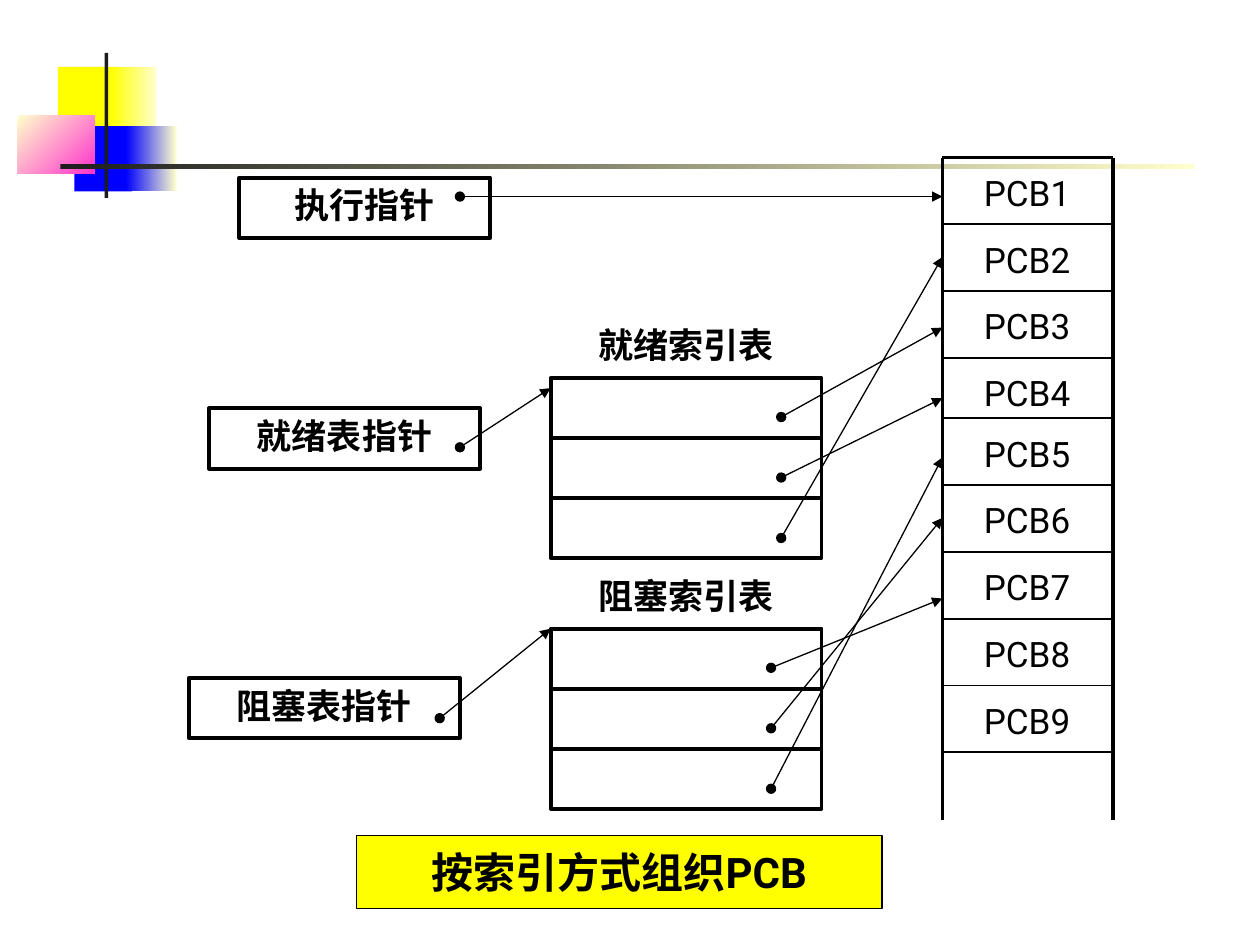
from itertools import accumulate

from pptx import Presentation
from pptx.dml.color import RGBColor
from pptx.enum.shapes import MSO_CONNECTOR, MSO_SHAPE
from pptx.enum.text import MSO_ANCHOR, PP_ALIGN
from pptx.oxml.ns import qn
from pptx.util import Inches, Pt
from lxml.etree import SubElement

BLACK = RGBColor(0x00, 0x00, 0x00)
CHARCOAL = RGBColor(0x1C, 0x1C, 0x1C)
YELLOW = RGBColor(0xFF, 0xFF, 0x00)
CREAM = RGBColor(0xFF, 0xFF, 0xCC)
BLUE = RGBColor(0x00, 0x00, 0xFF)
PINK = RGBColor(0xFF, 0x33, 0xCC)
FONT = "Roboto"
THICK, THIN, HAIR = 2.25, 1, 0.75
ROW = 0.48


def write(shape, text, size=20, bold=True, align=PP_ALIGN.CENTER,
          anchor=MSO_ANCHOR.TOP, wrap=True):
    frame = shape.text_frame
    frame.word_wrap = wrap
    frame.vertical_anchor = anchor
    para = frame.paragraphs[0]
    para.alignment = align
    span = para.add_run()
    span.text = text
    span.font.name = FONT
    span.font.size = Pt(size)
    span.font.bold = bold
    span.font.color.rgb = BLACK


def add_label(page, box, text, **style):
    write(page.shapes.add_textbox(*map(Inches, box)), text, **style)


def add_box(page, box, fill=None, fade=None, angle=0, line=None):
    """Rectangle with a solid fill, a fade between two colours, or no fill."""
    shape = page.shapes.add_shape(MSO_SHAPE.RECTANGLE, *map(Inches, box))
    shape.shadow.inherit = False
    if fade:
        shape.fill.gradient()
        shape.fill.gradient_angle = angle
        for stop, color in zip(shape.fill.gradient_stops, (fill, fade)):
            stop.color.rgb = color
    elif fill is not None:
        shape.fill.solid()
        shape.fill.fore_color.rgb = fill
    else:
        shape.fill.background()
    if line:
        shape.line.color.rgb = BLACK
        shape.line.width = Pt(line)
    else:
        shape.line.fill.background()
    return shape


def add_line(page, start, end, width, arrow=False):
    line = page.shapes.add_connector(
        MSO_CONNECTOR.STRAIGHT, *map(Inches, (*start, *end)))
    line.line.color.rgb = BLACK
    line.line.width = Pt(width)
    if arrow:
        outline = line.line._get_or_add_ln()
        SubElement(outline, qn("a:headEnd"), type="oval")
        SubElement(outline, qn("a:tailEnd"), type="triangle")
    SubElement(line._element.spPr, qn("a:effectLst"))


def draw_ornament(page):
    # Overlapping colour blocks
    add_box(page, (0.46, 0.53, 0.48, 0.52), YELLOW)
    add_box(page, (0.88, 0.53, 0.36, 0.52), YELLOW, CREAM)
    add_box(page, (0.59, 1, 0.46, 0.52), BLUE)
    add_box(page, (1, 1, 0.4, 0.52), BLUE, CREAM)
    add_box(page, (0.14, 0.92, 0.61, 0.46), CREAM, PINK, angle=315)
    # Crossing bars
    add_box(page, (0.83, 0.42, 0.03, 1.15), CHARCOAL)
    add_box(page, (0.48, 1.3, 9, 0.04), CHARCOAL, CREAM)


def draw_caption(page, box, text):
    write(add_box(page, box, YELLOW, line=HAIR), text, size=24,
          anchor=MSO_ANCHOR.MIDDLE, wrap=False)


def draw_pointer(page, box, text):
    write(add_box(page, box, line=THICK), text)


def draw_index_table(page, box, title, rows=3):
    left, top, width, height = box
    add_label(page, (left, top - ROW, width, ROW), title)
    add_box(page, box, line=THICK)
    for row in range(1, rows):
        y = top + row * height / rows
        add_line(page, (left, y), (left + width, y), THICK)


def draw_pcb_column(page, box):
    """Memory column, open at the bottom."""
    left, top, width, height = box
    right, bottom = left + width, top + height
    heights = [0.53] * 3 + [ROW] + [0.53] * 5
    edges = list(accumulate(heights, initial=top))
    for number, (y, row_height) in enumerate(zip(edges, heights), 1):
        add_label(page, (left + 0.23, y + 0.06, 0.99, row_height),
                  f"PCB{number}", bold=False, align=PP_ALIGN.LEFT)
    add_line(page, (left, top), (right, top), THICK)
    for x in (left, right):
        add_line(page, (x, top), (x, bottom), THICK)
    for y in edges[1:]:
        add_line(page, (left, y), (right, y), THIN)


def draw_arrows(page, table_left, pcb_left):
    # Pointers to the first PCB and to the index tables
    add_line(page, (3.65, 1.56), (pcb_left, 1.56), HAIR, arrow=True)
    add_line(page, (3.65, 3.55), (table_left, 3.08), HAIR, arrow=True)
    add_line(page, (3.49, 5.7), (table_left, 4.99), HAIR, arrow=True)
    # Index rows to PCBs: x and first y of the dots, then the target heights
    for x, first, targets in ((6.2, 3.31, (2.6, 3.16, 2.04)),
                              (6.12, 5.3, (4.75, 4.11, 3.63))):
        for row, target in enumerate(targets):
            add_line(page, (x, first + row * ROW), (pcb_left, target),
                     HAIR, arrow=True)


def main():
    deck = Presentation()
    deck.slide_width, deck.slide_height = Inches(10), Inches(7.5)
    page = deck.slides.add_slide(deck.slide_layouts[6])
    table_left, pcb_left = 4.37, 7.48

    draw_ornament(page)
    draw_caption(page, (2.83, 6.63, 4.17, 0.58), "按索引方式组织PCB")
    draw_arrows(page, table_left, pcb_left)
    draw_pcb_column(page, (pcb_left, 1.25, 1.35, 5.26))
    draw_pointer(page, (1.9, 1.41, 1.99, ROW), "执行指针")
    draw_pointer(page, (1.66, 3.24, 2.15, ROW), "就绪表指针")
    draw_pointer(page, (1.5, 5.38, 2.15, ROW), "阻塞表指针")
    draw_index_table(page, (table_left, 3, 2.15, 1.43), "就绪索引表")
    draw_index_table(page, (table_left, 4.99, 2.15, 1.43), "阻塞索引表")

    deck.save("out.pptx")


if __name__ == "__main__":
    main()
